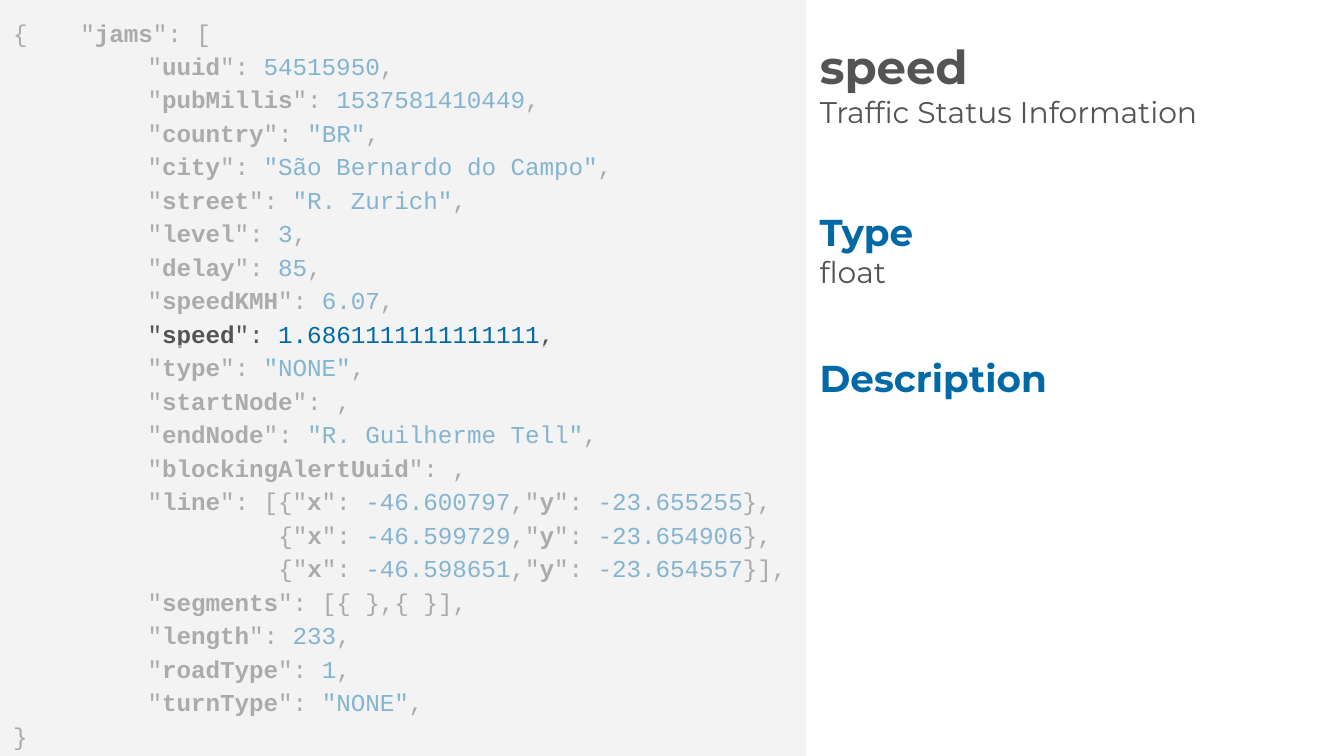
from lxml import etree
from pptx import Presentation
from pptx import util as u
from pptx.dml.color import RGBColor
from pptx.enum import shapes, text
from pptx.oxml.ns import qn

GREY, BLUE, PALE = "545454", "0069A6", "F3F3F3"
PLAIN = dict(name="Courier New", size=u.Pt(13), bold=False, color=GREY)
KEY = dict(PLAIN, bold=True)
VALUE = dict(PLAIN, color=BLUE)
BODY = dict(name="Montserrat", size=u.Pt(16), bold=False, color=GREY)
HEAD = dict(BODY, size=u.Pt(20), bold=True, color=BLUE)
NAME = dict(BODY, size=u.Pt(25), bold=True)


def rgb(code):
    return RGBColor.from_string(code)


def pair(key, value="", tail=",", lead=""):
    """Runs of one JSON member: bold key, blue value, plain marks."""
    runs = [(lead + '"', PLAIN), (key, KEY), ('": ', PLAIN),
            (value, VALUE), (tail, PLAIN)]
    return [run for run in runs if run[0]]


def point(lon, lat, tail=","):
    return pair("x", lon, lead="{") + pair("y", lat, "}" + tail)


class Page:
    def __init__(self, deck):
        self.slide = deck.slides.add_slide(deck.slide_layouts[5])

    def fill(self, frame, paras, anchor, indent=0, space=1.0):
        """Write paragraphs, each a list of (text, format) runs."""
        frame.word_wrap = True
        frame.auto_size = text.MSO_AUTO_SIZE.NONE
        frame.vertical_anchor = anchor
        for side in ("left", "top", "right", "bottom"):
            setattr(frame, "margin_" + side, u.Pt(7.2))
        for i, runs in enumerate(paras):
            para = frame.paragraphs[0] if i == 0 else frame.add_paragraph()
            para.alignment = text.PP_ALIGN.LEFT
            para.line_spacing = space
            if indent and 0 < i < len(paras) - 1:
                para._p.get_or_add_pPr().set("marL", str(u.Pt(indent)))
            for words, style in runs:
                run = para.add_run()
                run.text = words
                for key, val in style.items():
                    if key == "color":
                        run.font.color.rgb = rgb(val)
                    else:
                        setattr(run.font, key, val)

    def title(self, box, paras):
        shape = self.slide.shapes.title
        for key, val in zip(("left", "top", "width", "height"), box):
            setattr(shape, key, u.Pt(val))
        self.fill(shape.text_frame, paras, text.MSO_ANCHOR.MIDDLE)

    def label(self, box, words, style):
        shape = self.slide.shapes.add_textbox(*map(u.Pt, box))
        self.fill(shape.text_frame, [[(words, style)]], text.MSO_ANCHOR.TOP)

    def panel(self, box, alpha=None):
        """Add a pale rectangle; alpha is its opacity in percent."""
        shape = self.slide.shapes.add_shape(
            shapes.MSO_SHAPE.RECTANGLE, *map(u.Pt, box))
        shape.shadow.inherit = False
        shape.line.fill.background()
        shape.fill.solid()
        shape.fill.fore_color.rgb = rgb(PALE)
        if alpha:
            tint = shape._element.spPr.find(".//" + qn("a:srgbClr"))
            etree.SubElement(tint, qn("a:alpha")).set("val", str(alpha * 1000))
        return shape

    def code(self, box, lines):
        self.fill(self.panel(box).text_frame, lines, text.MSO_ANCHOR.TOP,
                  indent=72, space=1.15)


def main():
    deck = Presentation()
    deck.slide_width, deck.slide_height = u.Pt(720), u.Pt(405)
    page = Page(deck)

    gap = [(" " * 9, PLAIN)]
    lines = [
        pair("jams", tail="[", lead="{\t"),
        pair("uuid", "54515950"),
        pair("pubMillis", "1537581410449"),
        pair("country", '"BR"'),
        pair("city", '"São Bernardo do Campo"'),
        pair("street", '"R. Zurich"'),
        pair("level", "3"),
        pair("delay", "85"),
        pair("speedKMH", "6.07"),
        pair("speed", "1.6861111111111111"),
        pair("type", '"NONE"'),
        pair("startNode"),
        pair("endNode", '"R. Guilherme Tell"'),
        pair("blockingAlertUuid"),
        pair("line", tail="[") + point("-46.600797", "-23.655255"),
        gap + point("-46.599729", "-23.654906"),
        gap + point("-46.598651", "-23.654557", "],"),
        pair("segments", tail="[{ },{ }],"),
        pair("length", "233"),
        pair("roadType", "1"),
        pair("turnType", '"NONE"'),
        [("}", PLAIN)],
    ]
    page.code((0, 0, 432, 405), lines)

    page.title((432, 11.5, 288, 66.2),
               [[("speed", NAME)], [("Traffic Status Information", BODY)]])
    page.label((432, 105.1, 139, 36), "Type", HEAD)
    page.label((432, 128.9, 259.2, 62.6), "float", BODY)
    page.label((432, 182.9, 139, 36), "Description", HEAD)

    # Veils above and below leave the "speed" line in full colour
    for top in (185, -235.4):
        page.panel((0, top, 432, 405), alpha=55)

    deck.save("out.pptx")


if __name__ == "__main__":
    main()
